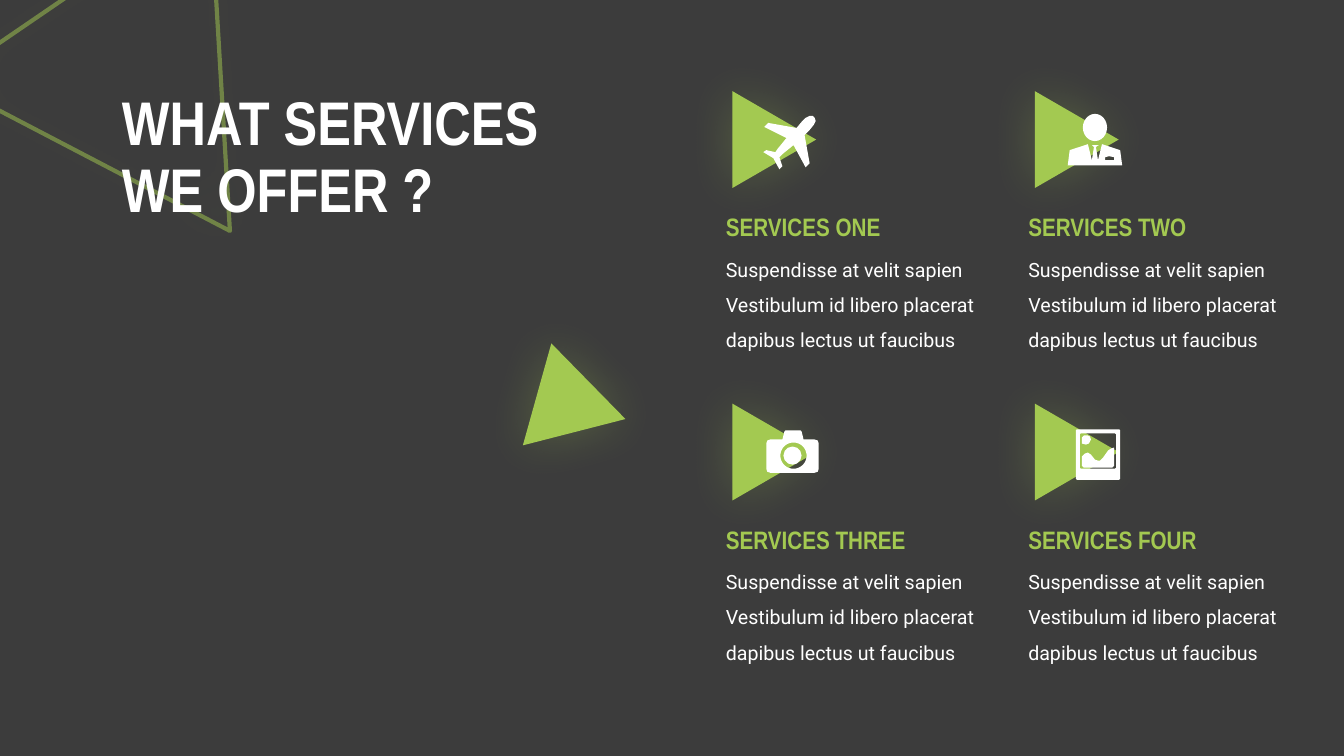
from math import cos, sin, pi
from lxml.etree import SubElement
from pptx import Presentation
from pptx.dml.color import RGBColor
from pptx.enum.shapes import MSO_SHAPE as Kind
from pptx.enum.text import MSO_ANCHOR as Anchor, MSO_AUTO_SIZE as Fit, PP_ALIGN as Align
from pptx.oxml.ns import qn
from pptx.util import Inches, Pt

GREEN = RGBColor(0xA3, 0xC9, 0x51)
WHITE = RGBColor(0xFF, 0xFF, 0xFF)
DARK = RGBColor(0x3C, 0x3C, 0x3C)
HEAD, BODY = "Arial Narrow", "Roboto"


def ring(x, y, r, n=40):
    """Return the points of a circle."""
    return [(x + r * cos(2 * pi * i / n), y + r * sin(2 * pi * i / n)) for i in range(n)]


def panel(x, y, w, h, cut):
    """Return the points of a box with trimmed corners."""
    r, b = x + w, y + h
    return [(x + cut, y), (r - cut, y), (r, y + cut), (r, b - cut),
            (r - cut, b), (x + cut, b), (x, b - cut), (x, y + cut)]


TITLE = "WHAT SERVICES\vWE OFFER ?"
TEXT = "Suspendisse at velit sapien Vestibulum id libero placerat dapibus lectus ut faucibus"
NAMES = ["SERVICES ONE", "SERVICES TWO", "SERVICES THREE", "SERVICES FOUR"]

PLANE = [(1.08, .17), (1.06, .15), (1.03, .15), (.99, .17), (.95, .21), (.9, .27),
         (.62, .22), (.58, .26), (.8, .37), (.71, .48), (.69, .51), (.6, .49),
         (.57, .51), (.67, .57), (.73, .68), (.76, .65), (.73, .56), (.76, .53),
         (.87, .44), (.99, .66), (1.03, .62), (.98, .34), (1.03, .29), (1.07, .24),
         (1.09, .2)]
SUIT = [(1.11, .49), (.93, .43), (.89, .59), (.87, .46), (.88, .45), (.9, .44),
        (.83, .44), (.84, .45), (.85, .46), (.83, .59), (.79, .43), (.61, .49),
        (.59, .64), (1.13, .64)]
POCKET = [(1.05, .59), (.96, .59), (.96, .56), (1, .55), (1.05, .56)]
CAMERA = [(1.08, .26), (.97, .26), (.95, .18), (.94, .17), (.79, .17), (.78, .18),
          (.76, .26), (.64, .26), (.61, .27), (.6, .3), (.6, .55), (.61, .58),
          (.64, .59), (1.08, .59), (1.11, .58), (1.12, .55), (1.12, .3), (1.11, .27)]
HILLS = [(1.05, .34), (1.02, .35), (.99, .37), (.94, .44), (.91, .47), (.89, .47),
         (.86, .46), (.82, .41), (.79, .39), (.76, .4), (.73, .43), (.73, .52),
         (.75, .54), (1.03, .54), (1.05, .52)]
SUN = [(.82, .26), (.81, .23), (.79, .22), (.75, .22), (.73, .24), (.73, .3),
       (.77, .31), (.8, .3)]
FRAME = [panel(.67, .16, .44, .5, .01), panel(.71, .2, .36, .35, .01)]

ICONS = [
    ([[PLANE]], None),
    ([[SUIT, POCKET]], (.74, .13, .24, .27)),
    ([[CAMERA, ring(.87, .42, .13)]], (.77, .33, .18, .18)),
    ([[HILLS], [SUN], FRAME], None),
]


def paint(shape, color):
    """Fill a shape with one colour and no outline."""
    shape.shadow.inherit = False
    shape.fill.solid()
    shape.fill.fore_color.rgb = color
    shape.line.fill.background()


def glow(shape):
    """Add a soft green halo."""
    shape.shadow.inherit = False
    halo = SubElement(shape._element.spPr.find(qn("a:effectLst")), qn("a:outerShdw"),
                      blurRad=str(Pt(35)), dist="0", dir="0", algn="ctr", rotWithShape="0")
    tint = SubElement(halo, qn("a:srgbClr"), val=str(GREEN))
    SubElement(tint, qn("a:alpha"), val="25000")


def wedge(shapes, box, turn):
    """Add a turned triangle with a halo."""
    shape = shapes.add_shape(Kind.ISOSCELES_TRIANGLE, *map(Inches, box))
    shape.rotation = turn
    paint(shape, GREEN)
    glow(shape)
    return shape


def style(para, face, size, color, bold=False):
    """Set the font of a paragraph."""
    font = para.font
    font.name, font.size, font.bold = face, Pt(size), bold
    font.color.rgb = color


def label(shapes, box, text, *look):
    """Add a wrapped text box and return its paragraph."""
    frame = shapes.add_textbox(*map(Inches, box)).text_frame
    frame.word_wrap = True
    frame.auto_size = Fit.SHAPE_TO_FIT_TEXT
    para = frame.paragraphs[0]
    para.text = text
    style(para, *look)
    return para


def draw(shapes, loops, x, y):
    """Add a white outline made of closed loops."""
    pen = None
    for loop in loops:
        pts = [(Inches(x + a), Inches(y + b)) for a, b in loop]
        if pen is None:
            pen = shapes.build_freeform(*pts[0])
        else:
            pen.move_to(*pts[0])
        pen.add_line_segments(pts[1:], close=True)
    paint(pen.convert_to_shape(), WHITE)


def main():
    """Build the services slide."""
    deck = Presentation()
    deck.slide_width, deck.slide_height = Inches(13.33), Inches(7.5)
    slide = deck.slides.add_slide(deck.slide_layouts[5])
    slide.background.fill.solid()
    slide.background.fill.fore_color.rgb = DARK
    shapes = slide.shapes

    title = shapes.title
    title.left, title.top, title.width, title.height = map(Inches, (1.11, .79, 5.62, 1.58))
    frame = title.text_frame
    frame.auto_size, frame.word_wrap = Fit.NONE, True
    frame.vertical_anchor = Anchor.MIDDLE
    para = frame.paragraphs[0]
    para.text = TITLE
    para.alignment, para.line_spacing = Align.LEFT, .9
    style(para, HEAD, 44, WHITE, True)

    rim = wedge(shapes, (-.84, -.65, 3.3, 2.75), 266.6)
    rim.fill.background()
    rim.line.color.rgb = GREEN
    rim.line.width = Pt(3)
    tint = rim.line._ln.find(".//" + qn("a:srgbClr"))
    SubElement(tint, qn("a:alpha"), val="50000")
    shapes._spTree.remove(rim._element)
    shapes._spTree.insert(2, rim._element)

    for i, (name, (parts, oval)) in enumerate(zip(NAMES, ICONS)):
        row, col = divmod(i, 2)
        x, y = 7 + 3 * col, 1 + 3.1 * row
        wedge(shapes, (x + .2, y - .03, .96, .83), 90)
        label(shapes, (x + .1, y + 1.39, 2.81, 1.12), TEXT, BODY, 14, WHITE).line_spacing = 1.5
        label(shapes, (x + .1, y + 1.05, 2.45, .4), name, HEAD, 18, GREEN, True)
        home = shapes.add_group_shape().shapes if oval or len(parts) > 1 else shapes
        for loops in parts:
            draw(home, loops, x, y)
        if oval:
            a, b, w, h = oval
            paint(home.add_shape(Kind.OVAL, *map(Inches, (x + a, y + b, w, h))), WHITE)

    wedge(shapes, (5.24, 3.58, 1.05, .91), 105.6)
    deck.save("out.pptx")


if __name__ == "__main__":
    main()
